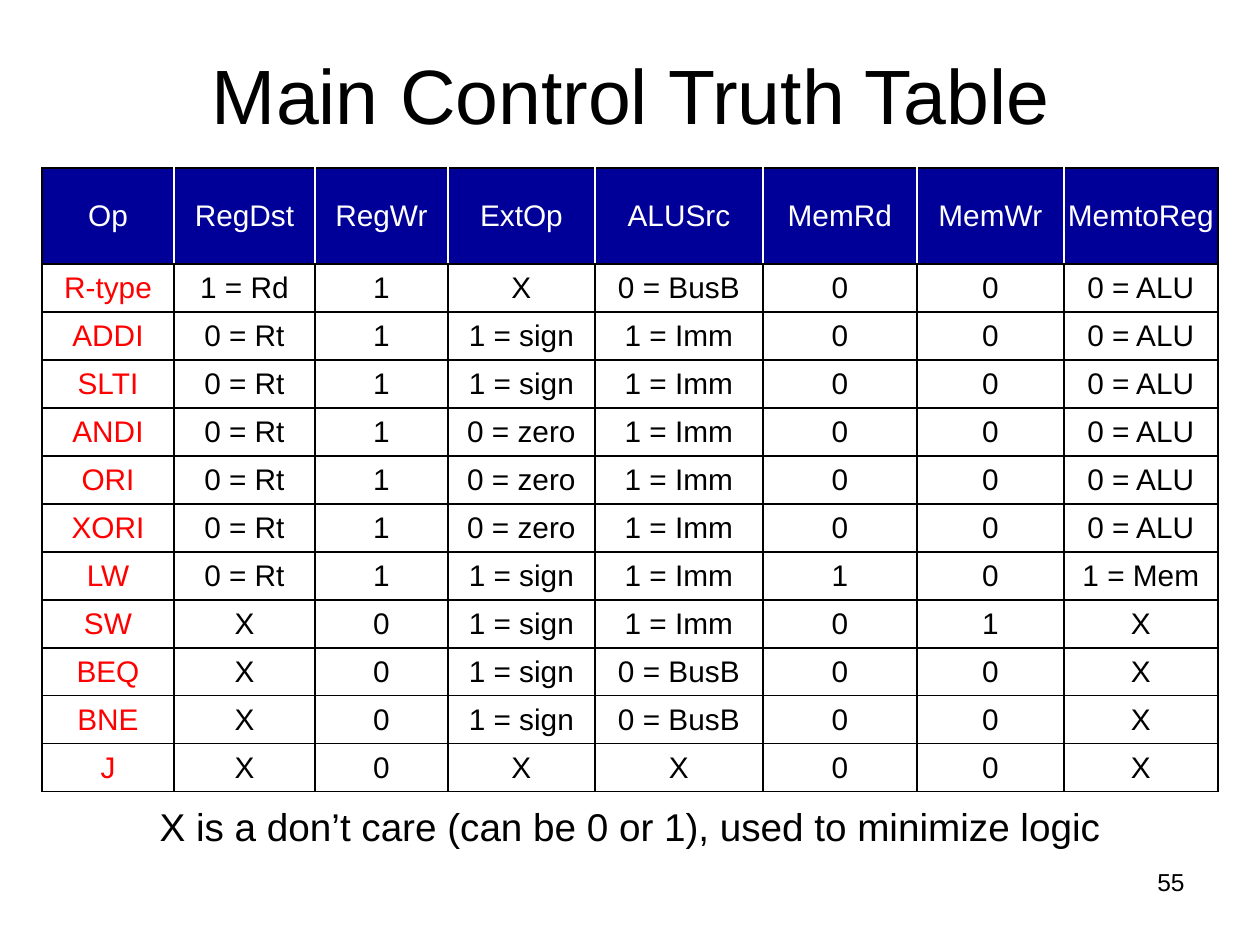
from dataclasses import dataclass

from lxml import etree
from pptx import Presentation
from pptx import util as u
from pptx.dml.color import RGBColor
from pptx.enum import text
from pptx.oxml.ns import qn

PX = u.Inches(1) / 126


@dataclass(frozen=True)
class Theme:
    font: str = "Arial"
    ink: str = "000000"
    paper: str = "FFFFFF"
    header: str = "000099"
    opcode: str = "FF0000"
    title_size: float = 44
    cell_size: float = 17
    caption_size: float = 22.1
    number_size: float = 14


THEME = Theme()
SIGNALS = ["Op", "RegDst", "RegWr", "ExtOp", "ALUSrc", "MemRd", "MemWr", "MemtoReg"]
TRUTH = [
    ["R-type", "1 = Rd", "1", "X", "0 = BusB", "0", "0", "0 = ALU"],
    ["ADDI", "0 = Rt", "1", "1 = sign", "1 = Imm", "0", "0", "0 = ALU"],
    ["SLTI", "0 = Rt", "1", "1 = sign", "1 = Imm", "0", "0", "0 = ALU"],
    ["ANDI", "0 = Rt", "1", "0 = zero", "1 = Imm", "0", "0", "0 = ALU"],
    ["ORI", "0 = Rt", "1", "0 = zero", "1 = Imm", "0", "0", "0 = ALU"],
    ["XORI", "0 = Rt", "1", "0 = zero", "1 = Imm", "0", "0", "0 = ALU"],
    ["LW", "0 = Rt", "1", "1 = sign", "1 = Imm", "1", "0", "1 = Mem"],
    ["SW", "X", "0", "1 = sign", "1 = Imm", "0", "1", "X"],
    ["BEQ", "X", "0", "1 = sign", "0 = BusB", "0", "0", "X"],
    ["BNE", "X", "0", "1 = sign", "0 = BusB", "0", "0", "X"],
    ["J", "X", "0", "X", "X", "0", "0", "X"],
]
COLUMN_WIDTHS = [132, 141, 133, 147, 168, 154, 147, 154]
HEADER_HEIGHT, ROW_HEIGHT = 96, 48


def px(n):
    return u.Emu(round(n * PX))


def set_attrs(obj, values):
    for name, value in values.items():
        setattr(obj, name, value)


def write(tf, words, size, color, align=text.PP_ALIGN.CENTER, spacing=None):
    p = tf.paragraphs[0]
    set_attrs(p, {"alignment": align, "line_spacing": spacing})
    r = p.add_run()
    r.text = words
    set_attrs(r.font, {"name": THEME.font, "size": u.Pt(size), "bold": False})
    r.font.color.rgb = RGBColor.from_string(color)


def place(sp, box):
    set_attrs(sp, dict(zip(("left", "top", "width", "height"), map(px, box))))


def add_title(slide, box, words):
    sp = slide.shapes.title
    place(sp, box)
    sp.text_frame.vertical_anchor = text.MSO_ANCHOR.MIDDLE
    write(sp.text_frame, words, THEME.title_size, THEME.ink)


def add_label(slide, box, words, size, **layout):
    sp = slide.shapes.add_textbox(*map(px, box))
    sp.text_frame.word_wrap = True
    write(sp.text_frame, words, size, THEME.ink, **layout)


def set_borders(cell, colors):
    tc_pr = cell._tc.get_or_add_tcPr()
    for side, color in zip("LRTB", colors):
        ln = etree.SubElement(tc_pr, qn(f"a:ln{side}"), w=str(u.Pt(1)))
        fill = etree.SubElement(ln, qn("a:solidFill"))
        etree.SubElement(fill, qn("a:srgbClr"), val=color)


def format_cell(cell, words, row, col):
    is_header = row == 0
    inset = px(11 if is_header else 6)
    set_attrs(cell, {
        "margin_left": px(2), "margin_right": px(2),
        "margin_top": inset, "margin_bottom": inset,
        "vertical_anchor": text.MSO_ANCHOR.MIDDLE,
    })
    left = THEME.paper if is_header and col > 0 else THEME.ink
    right = THEME.paper if is_header and col < len(SIGNALS) - 1 else THEME.ink
    set_borders(cell, (left, right, THEME.ink, THEME.ink))
    cell.fill.solid()
    cell.fill.fore_color.rgb = RGBColor.from_string(THEME.header if is_header else THEME.paper)
    color = THEME.paper if is_header else THEME.opcode if col == 0 else THEME.ink
    write(cell.text_frame, words, THEME.cell_size, color)


def add_truth_table(slide, left, top):
    rows = [SIGNALS, *TRUTH]
    heights = [HEADER_HEIGHT] + [ROW_HEIGHT] * len(TRUTH)
    box = (left, top, sum(COLUMN_WIDTHS), sum(heights))
    table = slide.shapes.add_table(len(rows), len(SIGNALS), *map(px, box)).table
    for column, width in zip(table.columns, COLUMN_WIDTHS):
        column.width = px(width)
    for i, (values, height) in enumerate(zip(rows, heights)):
        table.rows[i].height = px(height)
        for j, words in enumerate(values):
            format_cell(table.cell(i, j), words, i, j)


def main():
    prs = Presentation()
    set_attrs(prs, {"slide_width": px(1260), "slide_height": px(945)})
    slide = prs.slides.add_slide(prs.slide_layouts[5])
    add_title(slide, (64, 15, 1134, 158), "Main Control Truth Table")
    add_truth_table(slide, 42, 168)
    add_label(slide, (63, 792, 1134, 64),
              "X is a don’t care (can be 0 or 1), used to minimize logic",
              THEME.caption_size, spacing=1.1)
    add_label(slide, (903, 861, 294, 66), "55", THEME.number_size,
              align=text.PP_ALIGN.RIGHT)
    prs.save("out.pptx")


if __name__ == "__main__":
    main()
